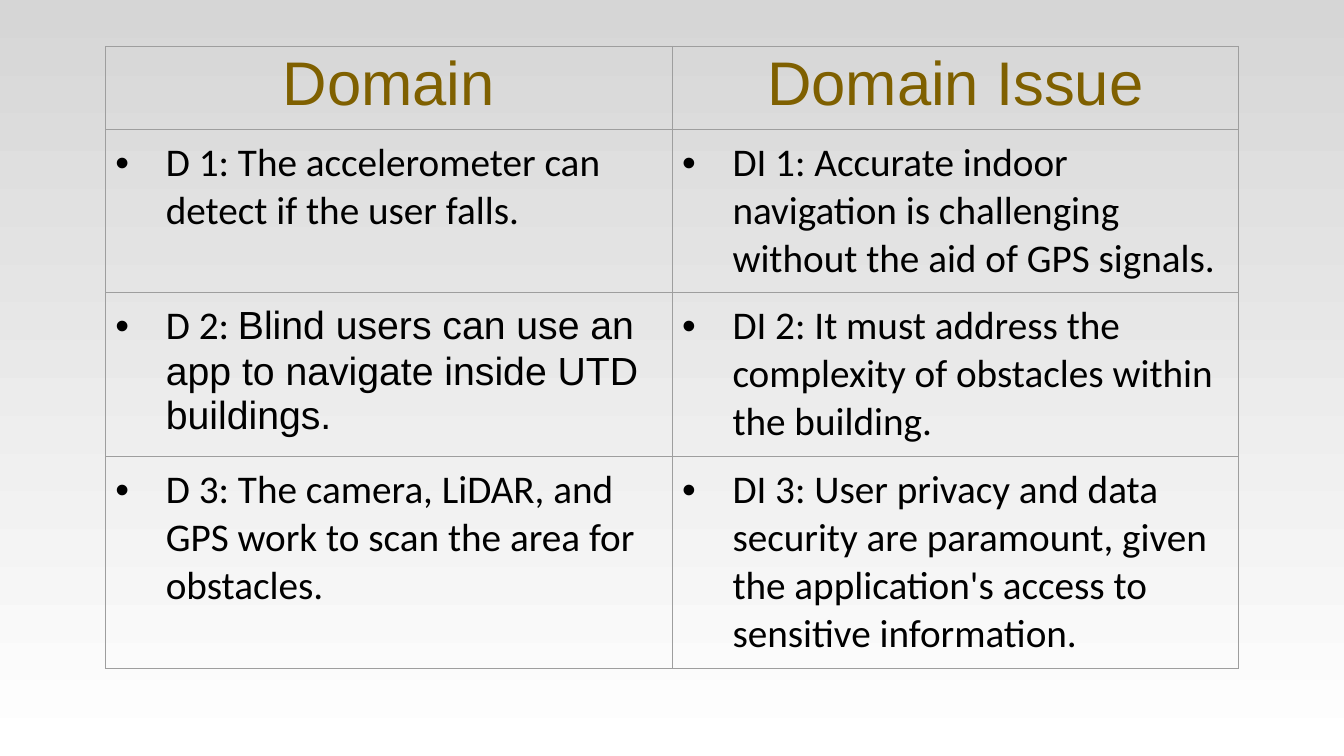
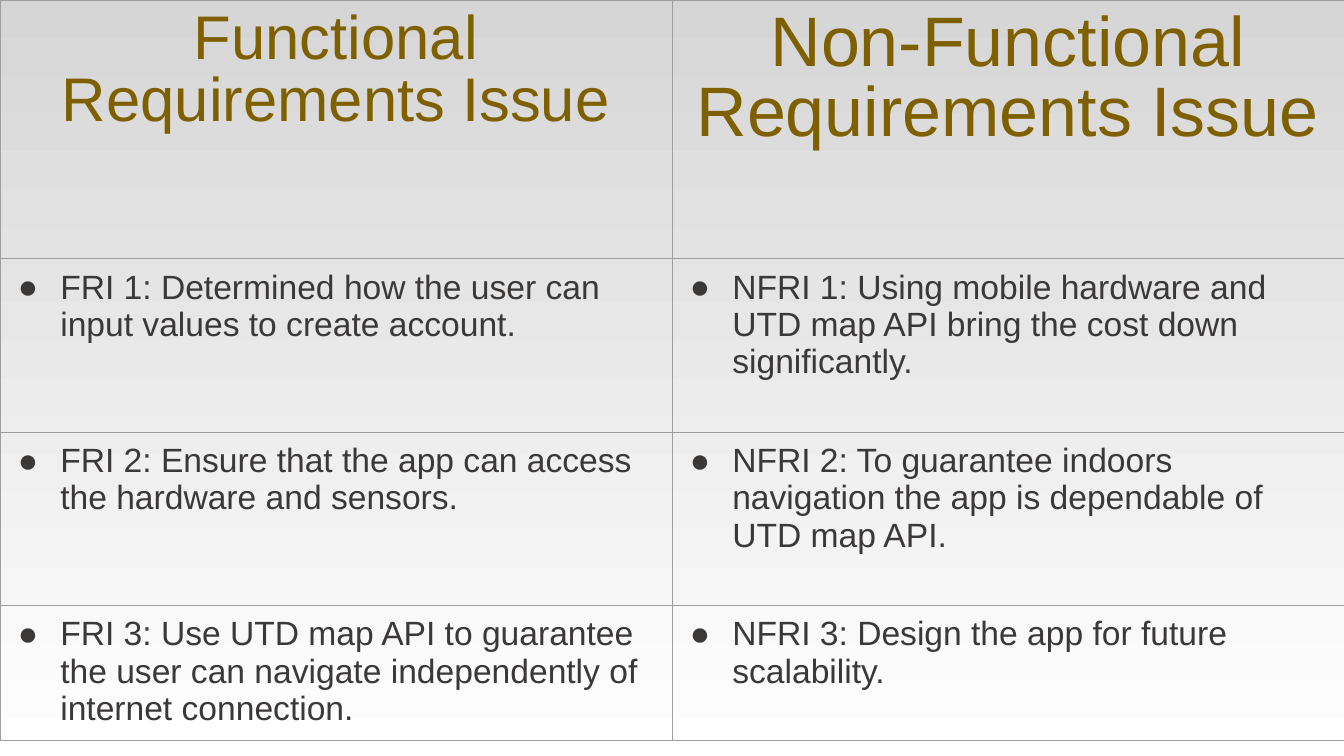
from lxml.etree import SubElement
from pptx import Presentation
from pptx.dml.color import RGBColor
from pptx.enum.text import PP_ALIGN
from pptx.oxml import parse_xml
from pptx.oxml.ns import nsdecls, qn
from pptx.util import Cm, Pt

GOLD, BLACK, SLATE, GRID = "7F6000", "000000", "3B3838", "9E9E9E"
WIDTH, HEIGHT = 33.87, 19.05
BACKDROP = ("D6D6D6", "FFFFFF")
SANS, BODY = "Arial", "Calibri"
INSET = Cm(0.25)


def rgb(value):
    """Turn a hex string into a colour."""
    return RGBColor.from_string(value)


def set_backdrop(prs):
    """Give every slide a grey to white gradient through the master."""
    fill = prs.slide_master.background.fill
    fill.gradient()
    fill.gradient_angle = 270
    for stop, value in zip(fill.gradient_stops, BACKDROP):
        stop.color.rgb = rgb(value)


def add_bullet(p, char, color, hang):
    """Hang a paragraph behind a coloured bullet."""
    pPr = p._p.get_or_add_pPr()
    pPr.set("marL", str(Cm(1.27)))
    pPr.set("indent", str(-Cm(hang)))
    clr = SubElement(pPr, qn("a:buClr"))
    SubElement(clr, qn("a:srgbClr"), val=color)
    SubElement(pPr, qn("a:buFont"), typeface=SANS)
    SubElement(pPr, qn("a:buChar"), char=char)


def add_run(p, text, font, size, color):
    """Add one formatted run to a paragraph."""
    r = p.add_run()
    r.text = text
    r.font.name, r.font.size, r.font.bold = font, Pt(size), False
    r.font.color.rgb = rgb(color)


def style_cell(cell):
    """Clear the fill of a cell, set its insets and draw thin borders."""
    cell.margin_left = cell.margin_right = INSET
    cell.margin_top = cell.margin_bottom = INSET
    cell.fill.background()
    tcPr = cell._tc.get_or_add_tcPr()
    for i, side in enumerate("LRTB"):
        tcPr.insert(i, parse_xml(
            f'<a:ln{side} {nsdecls("a")} w="{Pt(0.75)}"><a:solidFill>'
            f'<a:srgbClr val="{GRID}"/></a:solidFill></a:ln{side}>'))


def add_header(cell, text, size):
    """Write a centred column heading."""
    p = cell.text_frame.paragraphs[0]
    p.alignment = PP_ALIGN.CENTER
    p.line_spacing = 0.9
    add_run(p, text, SANS, size, GOLD)


def add_item(cell, runs, size, color, char, hang):
    """Write a bulleted item from (text, font) runs."""
    p = cell.text_frame.paragraphs[0]
    add_bullet(p, char, color, hang)
    for text, font in runs:
        add_run(p, text, font, size, color)


def table_slide(prs, left, top, width, heights, headers, rows, **item):
    """Add a slide with a two-column table of headings and bulleted items."""
    s = prs.slides.add_slide(prs.slide_layouts[6])
    table = s.shapes.add_table(len(heights), 2, Cm(left), Cm(top),
                               Cm(width), Cm(sum(heights))).table
    table.horz_banding = False
    for row, height in zip(table.rows, heights):
        row.height = Cm(height)
    for cell in table.iter_cells():
        style_cell(cell)
    for c, (text, size) in enumerate(headers):
        add_header(table.cell(0, c), text, size)
    for r, row in enumerate(rows, 1):
        for c, runs in enumerate(row):
            add_item(table.cell(r, c), runs, **item)


def plain(font, *texts):
    """Make a table row of single-run items."""
    return [[(text, font)] for text in texts]


def main():
    """Build both slides and save the file."""
    prs = Presentation()
    prs.slide_width, prs.slide_height = Cm(WIDTH), Cm(HEIGHT)
    set_backdrop(prs)

    domain_rows = [
        plain(BODY, "D 1: The accelerometer can detect if the user falls.",
              "DI 1: Accurate indoor navigation is challenging without the aid of GPS signals."),
        [[("D 2: ", BODY),
          ("Blind users can use an app to navigate inside UTD buildings.", SANS)],
         [("DI 2: It must address the complexity of obstacles within the building.", BODY)]],
        plain(BODY, "D 3: The camera, LiDAR, and GPS work to scan the area for obstacles.",
              "DI 3: User privacy and data security are paramount, given the "
              "application's access to sensitive information."),
    ]
    table_slide(prs, 2.66, 1.17, 28.56, [2.08, 4.12, 4.12, 5.34],
                [("Domain", 44), ("Domain Issue", 44)], domain_rows,
                size=28, color=BLACK, char="•", hang=1.27)

    requirement_rows = [
        plain(SANS, "FRI 1: Determined how the user can input values to create account.",
              "NFRI 1: Using mobile hardware and UTD map API bring the cost down significantly."),
        plain(SANS, "FRI 2: Ensure that the app can access the hardware and sensors.",
              "NFRI 2: To guarantee indoors navigation the app is dependable of UTD map API."),
        plain(SANS, "FRI 3: Use UTD map API to guarantee the user can navigate "
              "independently of internet connection.",
              "NFRI 3: Design the app for future scalability."),
    ]
    table_slide(prs, 0, 0, WIDTH, [6.52, 4.37, 4.37, 3.4],
                [("Functional Requirements Issue", 44),
                 ("Non-Functional Requirements Issue", 50)], requirement_rows,
                size=24, color=SLATE, char="●", hang=1.07)
    prs.save("out.pptx")


if __name__ == "__main__":
    main()
